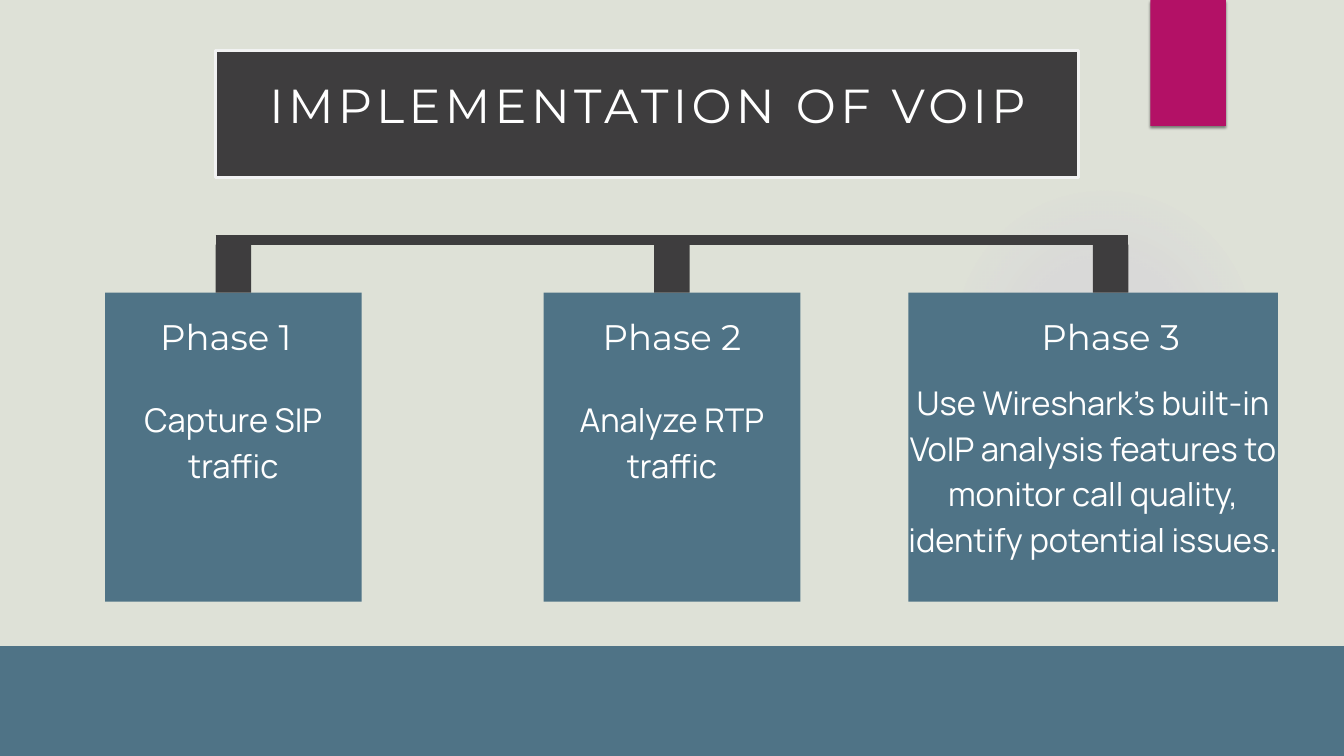
import lxml.etree
import pptx
import pptx.dml.color
import pptx.enum.shapes
import pptx.enum.text
import pptx.oxml
import pptx.oxml.ns
import pptx.util

Cm = pptx.util.Cm
Pt = pptx.util.Pt
SHAPE = pptx.enum.shapes.MSO_SHAPE
NAMESPACE = pptx.oxml.ns.nsdecls("a")

COLORS = {
    "background": "DEE1D7",
    "card": "4F7386",
    "dark": "3E3D3E",
    "border": "F1F2F2",
    "accent": "B31166",
    "glow": "9B6BF2",
    "text": "FFFFFF",
}

TITLE = "IMPLEMENTATION OF VOIP"
# Card, heading and body shifts are measured from the column centre, in cm.
PHASES = [
    {"heading": "Phase 1", "body": "Capture SIP traffic", "heading_shift": -0.28,
     "card_shift": 0, "card_width": 9.7, "body_width": 8.79, "body_top": 14.88, "body_height": 3.4},
    {"heading": "Phase 2", "body": "Analyze RTP traffic", "heading_shift": 0,
     "card_shift": 0, "card_width": 9.7, "body_width": 8.79, "body_top": 14.88, "body_height": 3.4},
    {"heading": "Phase 3", "heading_shift": 0,
     "body": "Use Wireshark's built-in VoIP analysis features to monitor call quality, "
             "identify potential issues.",
     "card_shift": -0.66, "card_width": 13.97, "body_width": 14, "body_top": 14.22, "body_height": 6.83},
]
GLOW_STOPS = [(0, 7), (36, 6), (69, 0)]  # position %, opacity %

SLIDE_WIDTH, SLIDE_HEIGHT = 50.8, 28.58
COLUMN_PITCH = 16.58
CARD_TOP, CARD_HEIGHT = 11.06, 11.69
HEADING_TOP, HEADING_WIDTH, HEADING_HEIGHT = 11.66, 11.13, 1.8
BAR_Y, STEM_TOP, STEM_WIDTH = 9.07, 9.25, 1.34


def rgb(name):
    return pptx.dml.color.RGBColor.from_string(COLORS[name])


def add_block(slide, left, top, width, height, fill, kind=SHAPE.RECTANGLE):
    block = slide.shapes.add_shape(kind, Cm(left), Cm(top), Cm(width), Cm(height))
    block.shadow.inherit = False
    block.fill.solid()
    block.fill.fore_color.rgb = rgb(fill)
    block.line.fill.background()
    return block


def write_text(box, text, *, font, size, leading, tracking=0):
    """Fill a box with one centred paragraph; leading and tracking are in points."""
    frame = box.text_frame
    frame.word_wrap = True
    frame.auto_size = pptx.enum.text.MSO_AUTO_SIZE.NONE
    frame.vertical_anchor = pptx.enum.text.MSO_ANCHOR.TOP
    frame.margin_left = frame.margin_right = frame.margin_top = frame.margin_bottom = 0
    paragraph = frame.paragraphs[0]
    paragraph.alignment = pptx.enum.text.PP_ALIGN.CENTER
    paragraph.line_spacing = Pt(leading)
    run = paragraph.add_run()
    run.text = text
    run.font.name = font
    run.font.size = Pt(size)
    run.font.color.rgb = rgb("text")
    if tracking:
        run.font._element.set("spc", str(round(tracking * 100)))


def add_text(slide, left, top, width, height, text, **text_format):
    box = slide.shapes.add_textbox(Cm(left), Cm(top), Cm(width), Cm(height))
    write_text(box, text, **text_format)


def add_glow(slide):
    glow = add_block(slide, 35.87, 6.99, 11.73, 11.73, "glow", SHAPE.OVAL)
    stops = "".join(
        f'<a:gs pos="{position * 1000}"><a:srgbClr val="{COLORS["glow"]}">'
        f'<a:alpha val="{opacity * 1000}"/></a:srgbClr></a:gs>'
        for position, opacity in GLOW_STOPS)
    gradient = pptx.oxml.parse_xml(
        f'<a:gradFill {NAMESPACE} rotWithShape="1"><a:gsLst>{stops}</a:gsLst><a:path path="circle">'
        '<a:fillToRect l="50000" t="50000" r="50000" b="50000"/></a:path></a:gradFill>')
    properties = glow._element.spPr
    properties.replace(properties.find(pptx.oxml.ns.qn("a:solidFill")), gradient)


def add_accent_tab(slide):
    tab = add_block(slide, 43.48, 0, 2.86, 4.76, "accent")
    effects = tab._element.spPr.find(pptx.oxml.ns.qn("a:effectLst"))
    effects.append(pptx.oxml.parse_xml(
        f'<a:outerShdw {NAMESPACE} blurRad="{Pt(3)}" dist="{Pt(2)}" dir="5400000" rotWithShape="0">'
        '<a:srgbClr val="000000"><a:alpha val="45000"/></a:srgbClr></a:outerShdw>'))


def add_title(slide):
    panel = add_block(slide, 8.15, 1.91, 32.61, 4.8, "dark")
    panel.line.color.rgb = rgb("border")
    panel.line.width = Pt(3)
    title = slide.shapes.title
    title.left, title.top, title.width, title.height = Cm(9.47), Cm(2.51), Cm(30.05), Cm(2.41)
    write_text(title, TITLE, font="Montserrat", size=51.1, leading=71.6, tracking=4.7)
    slide.shapes._spTree.append(title._element)  # in front of its panel


def add_bar(slide, start, end):
    bar = slide.shapes.add_connector(
        pptx.enum.shapes.MSO_CONNECTOR.STRAIGHT, Cm(start), Cm(BAR_Y), Cm(end), Cm(BAR_Y))
    bar.line.color.rgb = rgb("dark")
    bar.line.width = Pt(10.5)
    lxml.etree.SubElement(bar._element.spPr, pptx.oxml.ns.qn("a:effectLst"))


def add_phase(slide, phase, center):
    card_left = center + phase["card_shift"] - phase["card_width"] / 2
    add_block(slide, card_left, CARD_TOP, phase["card_width"], CARD_HEIGHT, "card")
    add_block(slide, center - STEM_WIDTH / 2, STEM_TOP, STEM_WIDTH, CARD_TOP - STEM_TOP, "dark")
    add_text(slide, center + phase["heading_shift"] - HEADING_WIDTH / 2, HEADING_TOP,
             HEADING_WIDTH, HEADING_HEIGHT, phase["heading"],
             font="Montserrat", size=38, leading=53.2)
    add_text(slide, center + phase["card_shift"] - phase["body_width"] / 2, phase["body_top"],
             phase["body_width"], phase["body_height"], phase["body"],
             font="Manrope", size=35, leading=49)


def main():
    presentation = pptx.Presentation()
    presentation.slide_width, presentation.slide_height = Cm(SLIDE_WIDTH), Cm(SLIDE_HEIGHT)
    slide = presentation.slides.add_slide(presentation.slide_layouts[5])  # Title Only
    slide.background.fill.solid()
    slide.background.fill.fore_color.rgb = rgb("background")

    add_glow(slide)
    add_accent_tab(slide)
    add_block(slide, -1.6, 24.43, 55.47, 5.18, "card")
    add_title(slide)

    centers = [SLIDE_WIDTH / 2 + (column - 1) * COLUMN_PITCH for column in range(len(PHASES))]
    add_bar(slide, centers[0] - STEM_WIDTH / 2, centers[-1] + STEM_WIDTH / 2)
    for phase, center in zip(PHASES, centers):
        add_phase(slide, phase, center)

    presentation.save("out.pptx")


if __name__ == "__main__":
    main()
